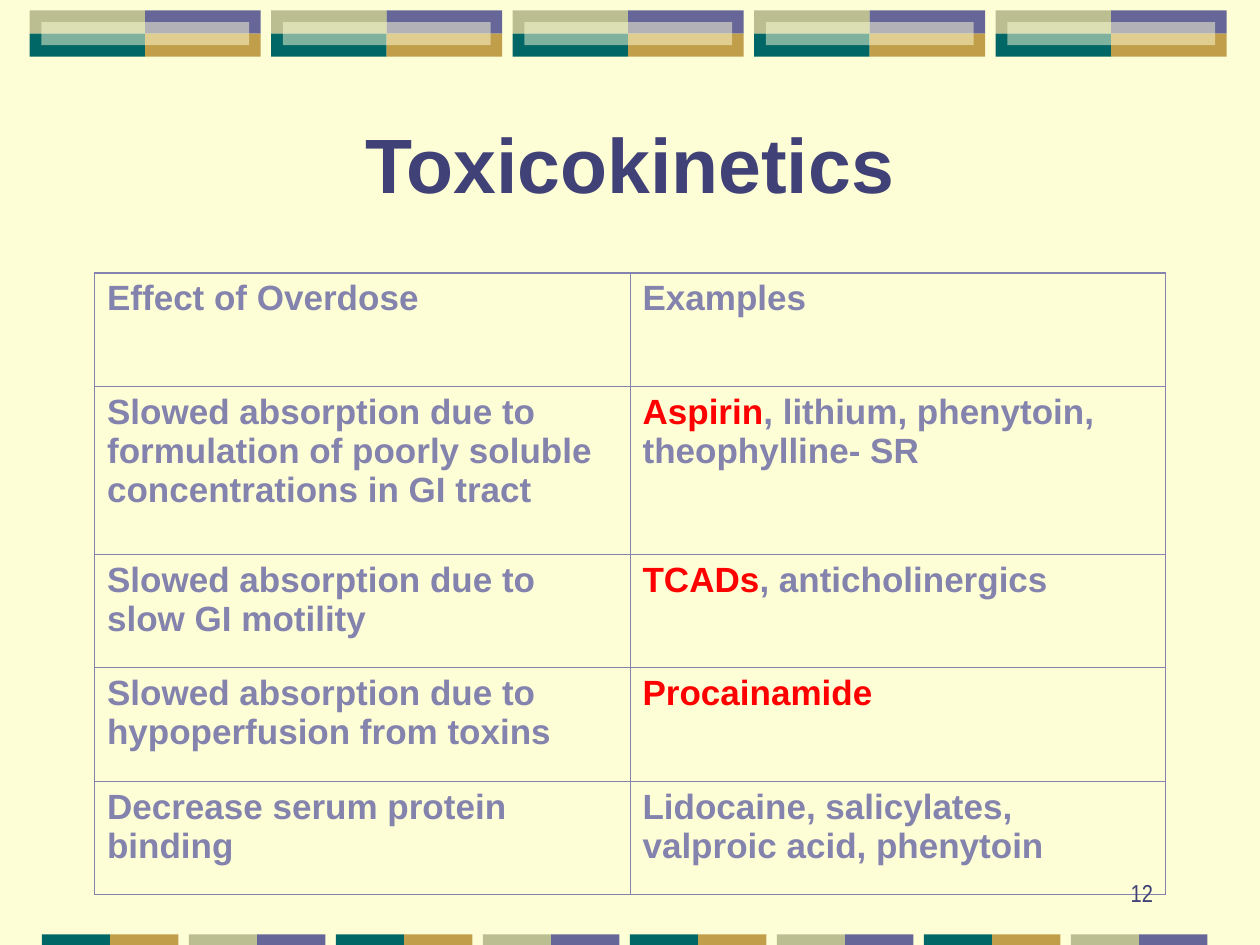
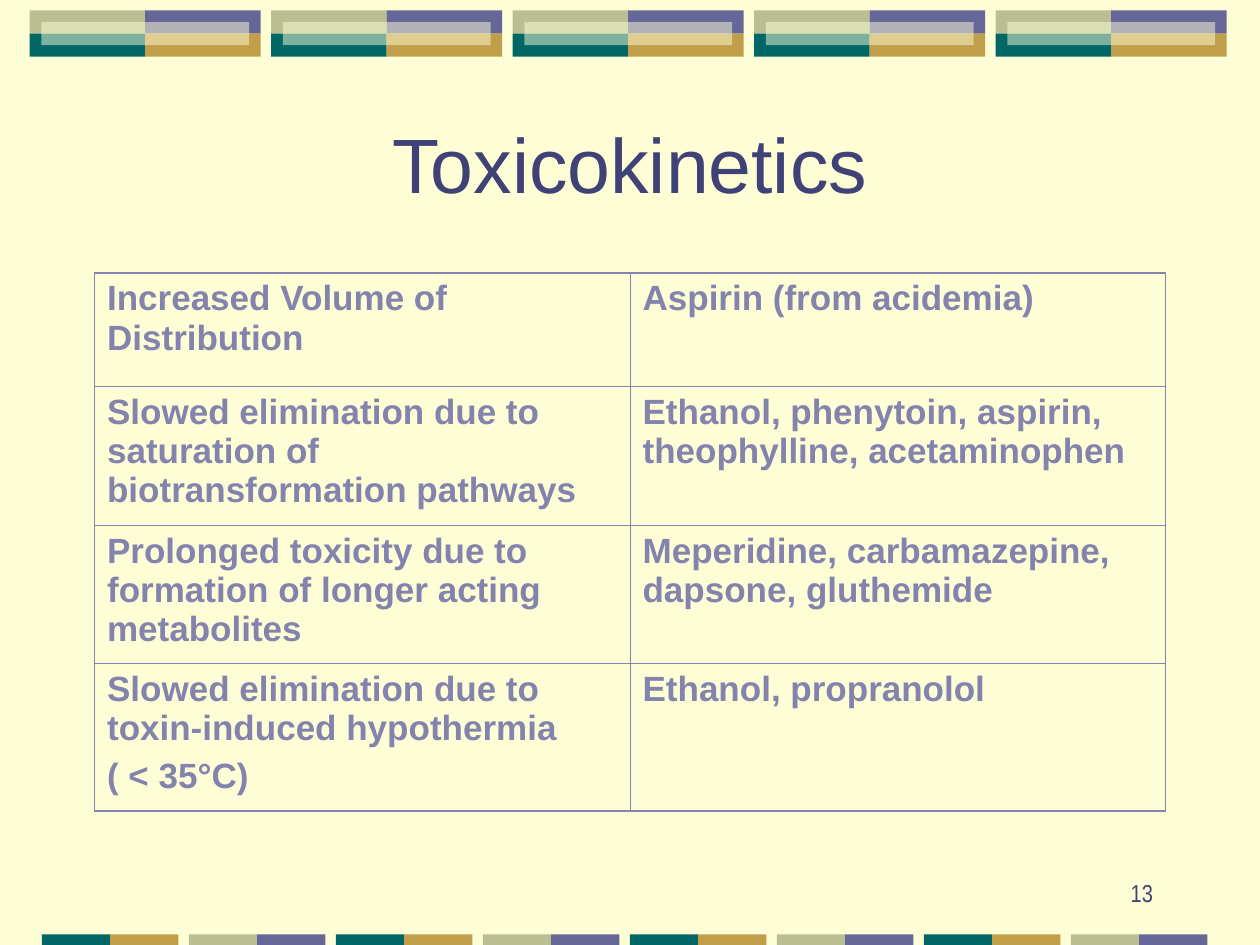
from dataclasses import dataclass

from lxml.etree import SubElement
from pptx import Presentation
from pptx.dml.color import RGBColor
from pptx.enum.shapes import MSO_SHAPE
from pptx.enum.text import MSO_ANCHOR, PP_ALIGN
from pptx.oxml.ns import qn
from pptx.util import Inches, Pt

COLORS = {
    "cream": "FEFED6",
    "violet": "666699",
    "gold": "C09E4A",
    "teal": "006666",
    "olive": "BABE90",
    "ink": "404176",
    "lavender": "8383AD",
    "red": "FF0000",
}

# The slide is a grid of 120 columns by 90 rows of square units.
COLS, ROWS = 120, 90
WIDTH, HEIGHT = Inches(10), Inches(7.5)
UNIT = WIDTH / COLS

OUTER_LINE, INNER_LINE = Pt(1.08), Pt(0.45)


@dataclass(frozen=True)
class Box:
    """A rectangle in grid units."""
    left: float
    top: float
    width: float
    height: float

    def emu(self) -> list[int]:
        return [units(v) for v in (self.left, self.top, self.width, self.height)]


@dataclass(frozen=True)
class TextStyle:
    size: float
    color: str
    font: str = "Arial"
    bold: bool = False
    align: PP_ALIGN = PP_ALIGN.LEFT


@dataclass(frozen=True)
class Row:
    height: float
    effect: str
    examples: str
    highlight: str = ""  # red words that open the examples


@dataclass(frozen=True)
class TableSlide:
    number: int
    title_bold: bool
    rows: list[Row]


TITLE_BOX = Box(9, 8, 102, 15)
TABLE_LEFT, TABLE_TOP, TABLE_WIDTH = 9, 26, 102
NUMBER_BOX = Box(86, 81, 25, 6)
CELL_STYLE = TextStyle(20, "lavender", bold=True)
NUMBER_STYLE = TextStyle(14, "ink", "Arial Narrow", align=PP_ALIGN.RIGHT)

SLIDES = [
    TableSlide(12, True, [
        Row(10.8, "Effect of Overdose", "Examples"),
        Row(16, "Slowed absorption due to formulation of poorly soluble "
                "concentrations in GI tract",
            ", lithium, phenytoin, theophylline- SR", "Aspirin"),
        Row(10.8, "Slowed absorption due to slow GI motility",
            ", anticholinergics", "TCADs"),
        Row(10.8, "Slowed absorption due to hypoperfusion from toxins",
            "", "Procainamide"),
        Row(10.8, "Decrease serum protein binding",
            "Lidocaine, salicylates, valproic acid, phenytoin"),
    ]),
    TableSlide(13, False, [
        Row(10.8, "Increased Volume of Distribution", "Aspirin (from acidemia)"),
        Row(13.2, "Slowed elimination due to saturation of "
                  "biotransformation pathways",
            "Ethanol, phenytoin, aspirin, theophylline, acetaminophen"),
        Row(13.2, "Prolonged toxicity due to formation of longer acting metabolites",
            "Meperidine, carbamazepine, dapsone, gluthemide"),
        Row(14, "Slowed elimination due to toxin-induced hypothermia\n( < 35°C)",
            "Ethanol, propranolol"),
    ]),
]


def units(value: float) -> int:
    return round(value * UNIT)


def rgb(name: str) -> RGBColor:
    return RGBColor.from_string(COLORS[name])


def add_block(s, box: Box, color: str, opacity: int = 100) -> None:
    sp = s.shapes.add_shape(MSO_SHAPE.RECTANGLE, *box.emu())
    sp.shadow.inherit = False
    sp.line.fill.background()
    sp.fill.solid()
    sp.fill.fore_color.rgb = rgb(color)
    if opacity < 100:
        clr = sp.fill._xPr.find(".//" + qn("a:srgbClr"))
        SubElement(clr, qn("a:alpha"), val=str(opacity * 1000))


def add_top_band(s) -> None:
    """Five four-colour badges, each with a pale veil across its middle."""
    half, row, inset = 11, 2.2, 1.1
    for i in range(5):
        left, top = 2.83 + 23 * i, 1
        for n, color in enumerate(("olive", "violet", "teal", "gold")):
            add_block(s, Box(left + n % 2 * half, top + n // 2 * row, half, row), color)
        add_block(s, Box(left + inset, top + inset, 2 * (half - inset), row),
                  "cream", 50)


def add_bottom_band(s) -> None:
    half = 6.5
    for i in range(8):
        pair = ("olive", "violet") if i % 2 else ("teal", "gold")
        for n, color in enumerate(pair):
            add_block(s, Box(4 + 14 * i + n * half, ROWS - 1, half, 1), color)


def write_text(tf, text: str, style: TextStyle, highlight: str = "") -> None:
    for i, line in enumerate(text.split("\n")):
        p = tf.add_paragraph() if i else tf.paragraphs[0]
        p.alignment = style.align
        if i:
            p.space_before = Pt(5)
        p.font.name, p.font.size = style.font, Pt(style.size)
        p.font.bold = style.bold
        p.font.color.rgb = rgb(style.color)
        if highlight and not i:
            r = p.add_run()
            r.text = highlight
            r.font.color.rgb = rgb("red")
        if line:
            p.add_run().text = line


def add_text(s, box: Box, text: str, style: TextStyle, anchor: MSO_ANCHOR) -> None:
    tf = s.shapes.add_textbox(*box.emu()).text_frame
    tf.word_wrap = True
    tf.vertical_anchor = anchor
    write_text(tf, text, style)


def set_borders(cell, outer_sides: dict[str, bool]) -> None:
    """Line all four sides, heavier on the table's outer edge."""
    tc_pr = cell._tc.get_or_add_tcPr()
    for i, (side, outer) in enumerate(outer_sides.items()):
        ln = tc_pr.makeelement(qn(f"a:ln{side}"),
                               {"w": str(OUTER_LINE if outer else INNER_LINE)})
        fill = SubElement(ln, qn("a:solidFill"))
        SubElement(fill, qn("a:srgbClr"), val=COLORS["lavender"])
        tc_pr.insert(i, ln)


def add_effects_table(s, rows: list[Row]) -> None:
    box = Box(TABLE_LEFT, TABLE_TOP, TABLE_WIDTH, sum(row.height for row in rows))
    table = s.shapes.add_table(len(rows), 2, *box.emu()).table
    table.first_row = table.horz_banding = False
    for i, row in enumerate(rows):
        table.rows[i].height = units(row.height)
        for j, (text, highlight) in enumerate(
                ((row.effect, ""), (row.examples, row.highlight))):
            cell = table.cell(i, j)
            cell.fill.background()
            write_text(cell.text_frame, text, CELL_STYLE, highlight)
            set_borders(cell, {"L": j == 0, "R": j == 1,
                               "T": i == 0, "B": i == len(rows) - 1})


def add_table_slide(prs, content: TableSlide) -> None:
    s = prs.slides.add_slide(prs.slide_layouts[6])
    add_top_band(s)
    add_bottom_band(s)
    title_style = TextStyle(44, "ink", bold=content.title_bold, align=PP_ALIGN.CENTER)
    add_text(s, TITLE_BOX, "Toxicokinetics", title_style, MSO_ANCHOR.MIDDLE)
    add_effects_table(s, content.rows)
    add_text(s, NUMBER_BOX, str(content.number), NUMBER_STYLE, MSO_ANCHOR.BOTTOM)


def main() -> None:
    prs = Presentation()
    prs.slide_width, prs.slide_height = WIDTH, HEIGHT
    background = prs.slide_master.background.fill
    background.solid()
    background.fore_color.rgb = rgb("cream")
    for content in SLIDES:
        add_table_slide(prs, content)
    prs.save("out.pptx")


if __name__ == "__main__":
    main()
